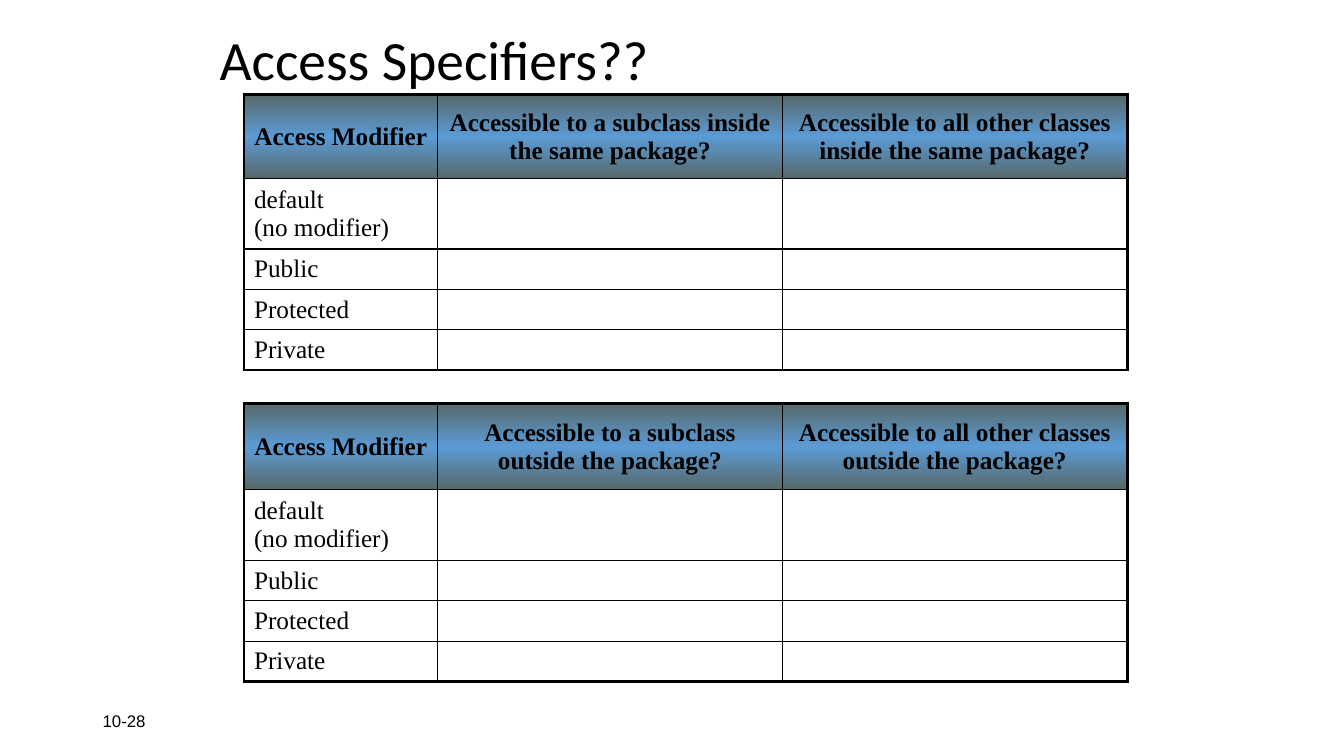
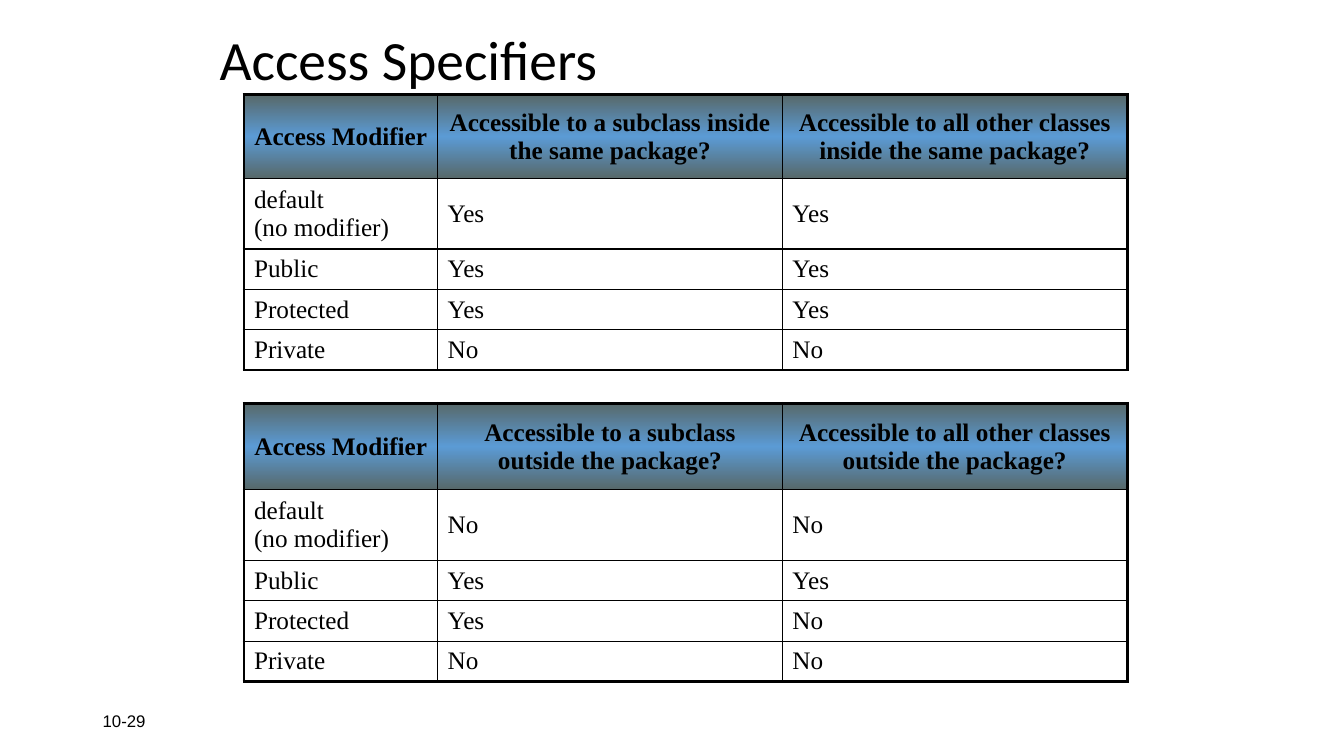
from pptx import Presentation
from pptx import util as u
from pptx.dml.color import RGBColor
from pptx.enum import text
from pptx.oxml import parse_xml
from pptx.oxml.ns import nsdecls

BLACK = RGBColor(0x00, 0x00, 0x00)
SLATE = RGBColor(0x57, 0x68, 0x69)
BLUE = RGBColor(0x5B, 0x9B, 0xD5)

# Shared table layout
LEFT = 2.42
COLS = (1.92, 3.42, 3.42)
ROWS = (0.7, 0.4, 0.4, 0.4)
THIN, THICK = 1, 2.25
NAMES = ("default\n(no modifier)", "Public", "Protected", "Private")


class Deck:
    def __init__(self):
        self.prs = Presentation()
        self.prs.slide_width = u.Inches(13.33)
        self.prs.slide_height = u.Inches(7.5)
        self.slide = None

    def page(self, title, number):
        self.slide = self.prs.slides.add_slide(self.prs.slide_layouts[6])
        self.label(number, (0.92, 6.95, 3, 0.4), "Arial", 12)
        head = self.label(title, (2.08, 0.25, 8.5, 0.75), "Calibri", 39.6)
        head.line_spacing = 0.9

    def style(self, para, words, face, size, bold=False):
        para.text = words
        font = para.font
        font.name, font.size, font.bold = face, u.Pt(size), bold
        font.color.rgb = BLACK

    def label(self, words, box, face, size):
        frame = self.slide.shapes.add_textbox(*map(u.Inches, box)).text_frame
        frame.word_wrap = True
        frame.vertical_anchor = text.MSO_ANCHOR.MIDDLE
        para = frame.paragraphs[0]
        self.style(para, words, face, size)
        return para

    def edge(self, cell, side, width):
        cell._tc.get_or_add_tcPr().append(parse_xml(
            f'<a:ln{side} {nsdecls("a")} w="{u.Pt(width)}"><a:solidFill>'
            f'<a:srgbClr val="{BLACK}"/></a:solidFill></a:ln{side}>'))

    def shade(self, cell):
        stops = "".join(
            f'<a:gs pos="{pos}"><a:srgbClr val="{color}"/></a:gs>'
            for pos, color in ((0, SLATE), (50000, BLUE), (100000, SLATE)))
        cell._tc.get_or_add_tcPr().append(parse_xml(
            f'<a:gradFill {nsdecls("a")}><a:gsLst>{stops}</a:gsLst>'
            '<a:lin ang="5400000" scaled="0"/></a:gradFill>'))

    def table(self, top, first, heads, answers):
        data = [("Access Modifier", *heads)]
        data += [(name, *pair) for name, pair in zip(NAMES, answers)]
        highs = (first, *ROWS)
        table = self.slide.shapes.add_table(
            len(highs), len(COLS), u.Inches(LEFT), u.Inches(top),
            u.Inches(sum(COLS)), u.Inches(sum(highs))).table
        table.first_row = table.horz_banding = False
        for col, wide in zip(table.columns, COLS):
            col.width = u.Inches(wide)
        for row, high in zip(table.rows, highs):
            row.height = u.Inches(high)

        for r, line in enumerate(data):
            for c, words in enumerate(line):
                cell = table.cell(r, c)
                cell.vertical_anchor = text.MSO_ANCHOR.MIDDLE
                para = cell.text_frame.paragraphs[0]
                self.style(para, words, "Times New Roman", 18, r == 0)
                # Heavy frame outside, thin grid inside
                outer = {"L": c == 0, "R": c == len(COLS) - 1,
                         "T": r == 0, "B": r == len(data) - 1}
                for side, heavy in outer.items():
                    self.edge(cell, side, THICK if heavy else THIN)
                if r == 0:
                    para.alignment = text.PP_ALIGN.CENTER
                    self.shade(cell)
                else:
                    cell.fill.background()


INSIDE = ("Accessible to a subclass inside the same package?",
          "Accessible to all other classes inside the same package?")
OUTSIDE = ("Accessible to a subclass outside the package?",
           "Accessible to all other classes outside the package?")

# Answers by modifier: subclass, other classes
YES, NO = "Yes", "No"
BLANK = [("", "")] * len(NAMES)
NEAR = [(YES, YES), (YES, YES), (YES, YES), (NO, NO)]
FAR = [(NO, NO), (YES, YES), (YES, NO), (NO, NO)]


def main():
    deck = Deck()
    for title, number, near, far in (
            ("Access Specifiers??", "10-28", BLANK, BLANK),
            ("Access Specifiers", "10-29", NEAR, FAR)):
        deck.page(title, number)
        deck.table(0.94, 0.83, INSIDE, near)
        deck.table(4, 0.86, OUTSIDE, far)
    deck.prs.save("out.pptx")


if __name__ == "__main__":
    main()
